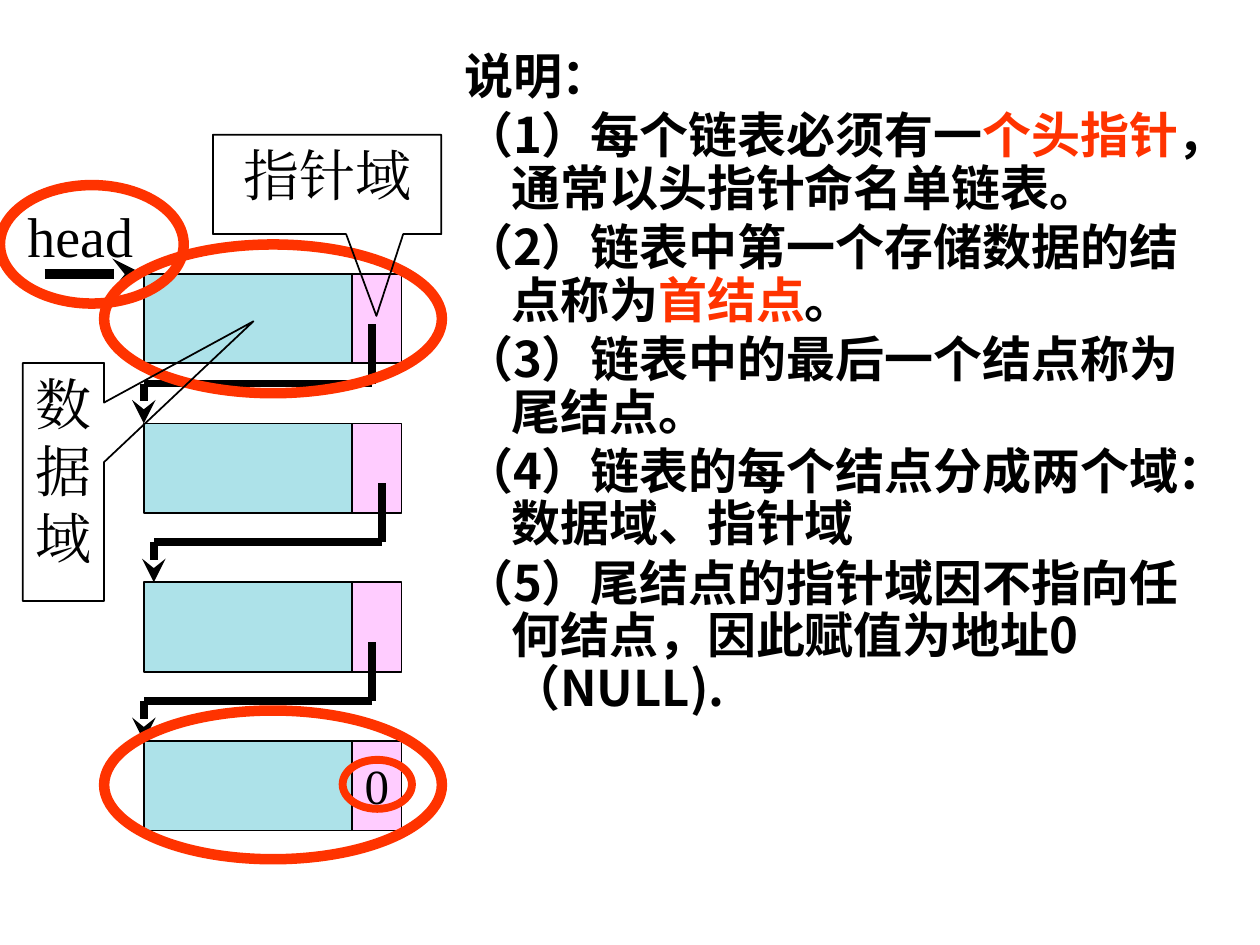
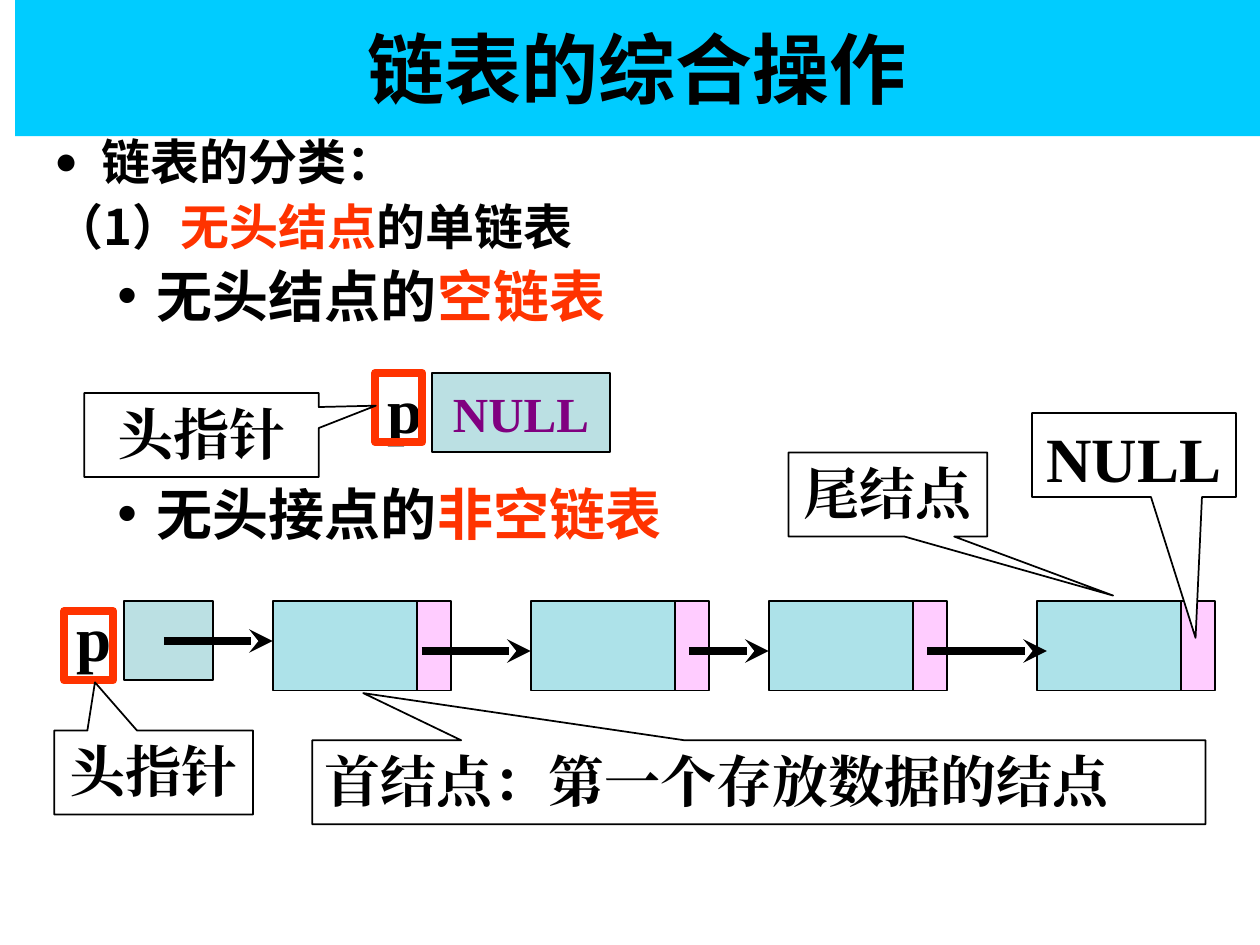
import pptx
import pptx.util
import pptx.dml.color
import pptx.enum.shapes
import pptx.enum.text
import pptx.oxml
import pptx.oxml.ns

Pt = pptx.util.Pt
SHAPES = pptx.enum.shapes.MSO_SHAPE
ALIGN = pptx.enum.text.PP_ALIGN
ANCHOR = pptx.enum.text.MSO_ANCHOR
SANS = "Noto Sans CJK SC"
SERIF = "Times New Roman"
COLORS = {
    "black": "000000",
    "white": "FFFFFF",
    "accent": "FF3300",
    "data": "ADE2E9",
    "pointer": "FFCCFF",
    "head": "BBE0E3",
    "null": "800080",
    "title": "00CCFF",
}


def color(name):
    return pptx.dml.color.RGBColor.from_string(COLORS[name])


def add_xml(parent, tag, **attributes):
    element = pptx.oxml.parse_xml(f"<a:{tag} {pptx.oxml.ns.nsdecls('a')}/>")
    for name, value in attributes.items():
        element.set(name, value)
    parent.append(element)
    return element


def write_text(paragraph, text, size=32, font=SERIF, fill="black", bold=False):
    run = paragraph.add_run()
    run.text = text
    run.font.size = Pt(size)
    run.font.name = font
    run.font.bold = bold
    run.font.color.rgb = color(fill)
    add_xml(run.font._element, "ea", typeface=font)


def place(shape, left, top, width, height):
    shape.left, shape.top = Pt(left), Pt(top)
    shape.width, shape.height = Pt(width), Pt(height)


def add_box(slide, kind, left, top, width, height, fill=None, line="black", line_width=1):
    shape = slide.shapes.add_shape(kind, Pt(left), Pt(top), Pt(width), Pt(height))
    shape.shadow.inherit = False
    if fill:
        shape.fill.solid()
        shape.fill.fore_color.rgb = color(fill)
    else:
        shape.fill.background()
    shape.line.color.rgb = color(line)
    shape.line.width = Pt(line_width)
    return shape


def add_highlight(slide, kind, left, top, width, height, line_width=4.5):
    add_box(slide, kind, left, top, width, height, line="accent", line_width=line_width)


def add_node(slide, left, top, data_width, pointer_width):
    add_box(slide, SHAPES.RECTANGLE, left, top, data_width, 51.2, "data")
    add_box(slide, SHAPES.RECTANGLE, left + data_width, top, pointer_width, 51.2, "pointer")


def add_label(slide, text, left, top, width, height, **text_format):
    box = slide.shapes.add_textbox(Pt(left), Pt(top), Pt(width), Pt(height))
    box.text_frame.word_wrap = False
    write_text(box.text_frame.paragraphs[0], text, **text_format)


def add_callout(slide, text, bounds, tip, fill=None, align=ALIGN.CENTER, **text_format):
    callout = add_box(slide, SHAPES.RECTANGULAR_CALLOUT, *bounds, fill=fill)
    callout.adjustments[0], callout.adjustments[1] = tip
    frame = callout.text_frame
    frame.word_wrap = True
    frame.vertical_anchor = ANCHOR.TOP
    frame.paragraphs[0].alignment = align
    write_text(frame.paragraphs[0], text, **text_format)


def add_line(slide, start, end, width=4.5, arrow=False):
    line = slide.shapes.add_connector(
        pptx.enum.shapes.MSO_CONNECTOR.STRAIGHT, *(Pt(value) for value in start + end)
    )
    line.line.color.rgb = color("black")
    line.line.width = Pt(width)
    if arrow:
        add_xml(line.line._get_or_add_ln(), "tailEnd", type="stealth")
    add_xml(line._element.spPr, "effectLst")


def add_link(slide, start_x, end_x, next_top):
    bend = next_top - 22.8
    add_line(slide, (start_x, bend - 33.8), (start_x, bend))
    add_line(slide, (start_x, bend), (end_x, bend))
    add_line(slide, (end_x, bend), (end_x, next_top), arrow=True)


def fill_body(body, bounds, items, line_spacing=1.0):
    place(body, *bounds)
    frame = body.text_frame
    frame.auto_size = pptx.enum.text.MSO_AUTO_SIZE.NONE
    for index, (runs, level, bullet, space) in enumerate(items):
        paragraph = frame.paragraphs[0] if index == 0 else frame.add_paragraph()
        paragraph.level = level
        paragraph.line_spacing = line_spacing
        paragraph.space_before = Pt(space if index else 0)
        properties = paragraph._p.get_or_add_pPr()
        margin, hang = (58.5, 22.5) if level else (27, 27)
        properties.set("marL", str(Pt(margin)))
        properties.set("indent", str(-Pt(hang)))
        if bullet:
            if bullet == "●":
                add_xml(properties, "buSzPct", val="80000")
            add_xml(properties, "buChar", char=bullet)
        else:
            add_xml(properties, "buNone")
        for position, text in enumerate(runs):
            write_text(paragraph, text, size=32 if level else 28, font=SANS, bold=True,
                       fill="accent" if position % 2 else "black")


def add_structure_slide(presentation):
    slide = presentation.slides.add_slide(presentation.slide_layouts[1])
    title = slide.shapes.title
    title._element.getparent().remove(title._element)
    notes = [
        ["说明："],
        ["（1）每个链表必须有一", "个头指针", "，通常以头指针命名单链表。"],
        ["（2）链表中第一个存储数据的结点称为", "首结点", "。"],
        ["（3）链表中的最后一个结点称为尾结点。"],
        ["（4）链表的每个结点分成两个域：数据域、指针域"],
        ["（5）尾结点的指针域因不指向任何结点，因此赋值为地址0（NULL)."],
    ]
    fill_body(slide.placeholders[1], (258, 26, 442, 493),
              [(runs, 0, None, 3.5) for runs in notes], line_spacing=0.9)

    node_tops = [156.5] + [242 + 90.75 * index for index in range(3)]
    for top in node_tops:
        add_node(slide, 82.2, top, 119, 28.3)
    add_label(slide, "head", 8.6, 111.6, 75, 46)
    add_line(slide, (25.5, 156.7), (82.2, 156.7), width=6, arrow=True)
    for next_top, shift in zip(node_tops[1:], (0, 5.7, 0)):
        add_link(slide, 212.5 + shift, 82.2 + shift, next_top)
    add_label(slide, "0", 201.3, 428.4, 28.3, 41, size=28)
    for bounds in ((0, 105.8, 105, 67.7), (59.5, 139.7, 193, 85), (59.5, 406, 193, 85)):
        add_highlight(slide, SHAPES.OVAL, *bounds, line_width=6)
    add_callout(slide, "数据域", (13, 207.4, 46.5, 136), (2.336, -0.675))
    add_callout(slide, "指针域", (121.7, 77, 130.5, 56.8), (0.216, 1.323))
    add_highlight(slide, SHAPES.OVAL, 195.8, 434.2, 39.6, 28)


def add_operations_slide(presentation):
    slide = presentation.slides.add_slide(presentation.slide_layouts[1])
    title = slide.shapes.title
    place(title, 8.6, 0, 711.4, 77.8)
    title.fill.solid()
    title.fill.fore_color.rgb = color("title")
    title.text_frame.vertical_anchor = ANCHOR.MIDDLE
    title.text_frame.paragraphs[0].alignment = ALIGN.CENTER
    write_text(title.text_frame.paragraphs[0], "链表的综合操作", size=44, font=SANS, bold=True)
    fill_body(slide.placeholders[1], (23.8, 71.3, 682.6, 408), [
        (["链表的分类："], 0, "●", 3.5),
        (["（1）", "无头结点", "的单链表"], 0, None, 3.5),
        (["无头结点的", "空链表"], 1, "•", 4),
        (["无头接点的", "非空链表"], 1, "•", 86),
    ])

    null_box = add_box(slide, SHAPES.RECTANGLE, 246.7, 213, 102, 45.4, "head")
    null_box.text_frame.word_wrap = False
    null_box.text_frame.vertical_anchor = ANCHOR.MIDDLE
    null_box.text_frame.paragraphs[0].alignment = ALIGN.CENTER
    write_text(null_box.text_frame.paragraphs[0], "NULL", size=28, fill="null", bold=True)
    add_label(slide, "p", 214.5, 208, 34.6, 50.4, size=36, bold=True)
    add_highlight(slide, SHAPES.RECTANGLE, 214.5, 213, 26.8, 39.7)

    add_box(slide, SHAPES.RECTANGLE, 70.8, 343.4, 51, 45.4, "head")
    add_label(slide, "p", 36.7, 338.4, 34.6, 50.4, size=36, bold=True)
    for left in (155.8, 303.3, 439.3, 592.4):
        add_node(slide, left, 343.4, 82.4, 19.6)
    for start, end, y in ((93.6, 155.8, 366.3), (241, 303.2, 372),
                          (393.8, 439.2, 372), (530, 598.2, 372)):
        add_line(slide, (start, y), (end, y), arrow=True)
    add_highlight(slide, SHAPES.RECTANGLE, 36.7, 349.2, 28, 39.6)

    callouts = [
        ("头指针", (48.2, 224.6, 134, 48), (0.743, -0.349), 32, ALIGN.CENTER),
        ("NULL", (589.7, 236, 116.6, 48), (0.302, 2.177), 36, ALIGN.CENTER),
        ("头指针", (31, 417.5, 113.6, 48), (-0.295, -1.075), 32, ALIGN.CENTER),
        ("首结点：第一个存放数据的结点", (178.5, 423, 510.4, 48), (-0.443, -1.062), 32, ALIGN.LEFT),
        ("尾结点", (450.6, 258.6, 113.6, 48), (1.133, 1.203), 32, ALIGN.CENTER),
    ]
    for text, bounds, tip, size, align in callouts:
        add_callout(slide, text, bounds, tip, fill="white", align=align, size=size, bold=True)


def main():
    presentation = pptx.Presentation()
    presentation.slide_width, presentation.slide_height = Pt(720), Pt(540)
    add_structure_slide(presentation)
    add_operations_slide(presentation)
    presentation.save("out.pptx")


if __name__ == "__main__":
    main()
